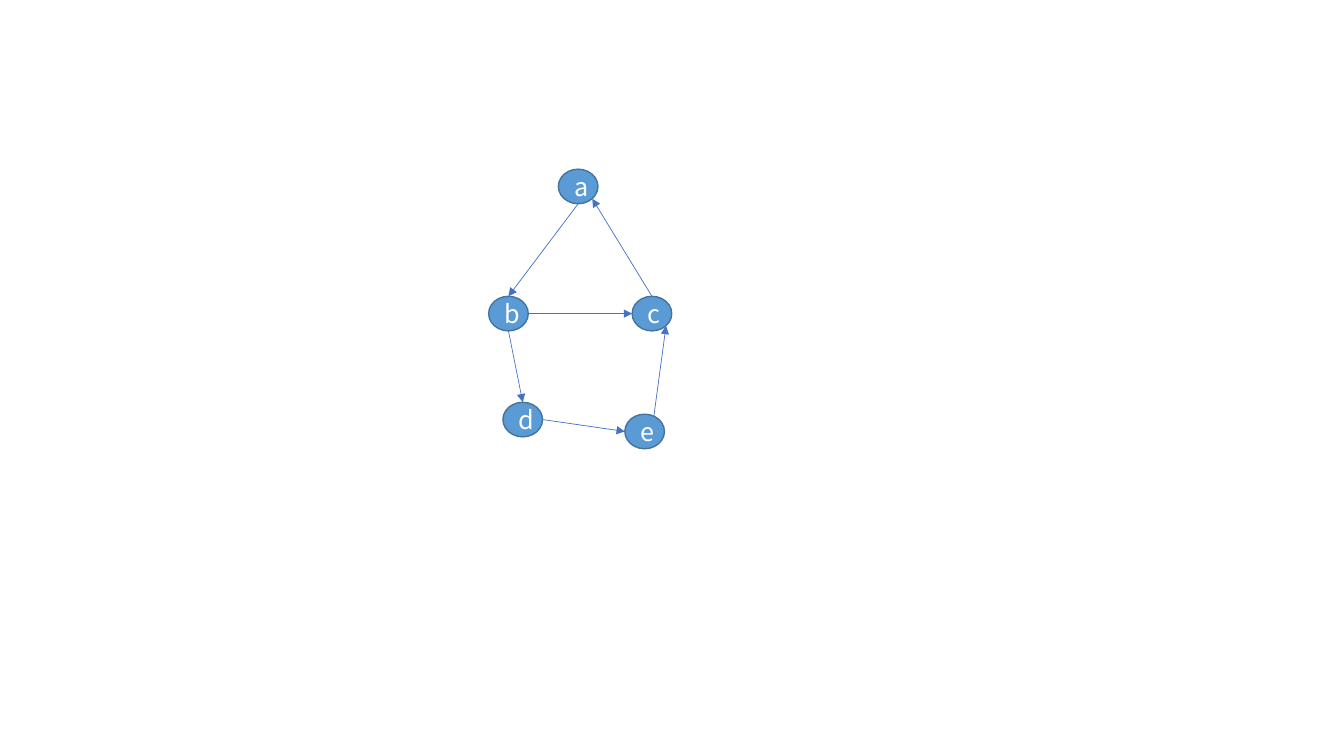
from pptx import Presentation
from pptx.dml.color import RGBColor
from pptx.enum.shapes import MSO_CONNECTOR as Link, MSO_SHAPE as Shape
from pptx.enum.text import MSO_ANCHOR as Anchor, PP_ALIGN as Align
from pptx.oxml.ns import qn
from pptx.util import Pt
from lxml.etree import SubElement

NODE_BLUE = RGBColor(0x5B, 0x9B, 0xD5)
RIM_BLUE = RGBColor(0x43, 0x73, 0x9E)
EDGE_BLUE = RGBColor(0x44, 0x72, 0xC4)
WHITE = RGBColor(0xFF, 0xFF, 0xFF)

WIDTH, HEIGHT = 28.3, 24.7
CENTRES = {"a": (413, 133.2), "b": (363.2, 224), "c": (465.7, 224),
           "d": (373.4, 299.7), "e": (460.5, 308.2)}
LETTER_FORMAT = {"name": "Noto Sans CJK SC", "size": Pt(18)}

TOP, BOTTOM, LEFT, RIGHT = (0, -1), (0, 1), (-1, 0), (1, 0)
LOWER_RIGHT = (0.71, 0.71)
INSIDE = (0.38, -0.18)
EDGES = [("a", BOTTOM, "b", TOP), ("b", RIGHT, "c", LEFT),
         ("c", TOP, "a", LOWER_RIGHT), ("b", BOTTOM, "d", TOP),
         ("e", INSIDE, "c", LOWER_RIGHT), ("d", RIGHT, "e", LEFT)]

deck = Presentation()
deck.slide_width, deck.slide_height = Pt(960), Pt(540)
graph = deck.slides.add_slide(deck.slide_layouts[6]).shapes


def add_node(letter):
    x, y = CENTRES[letter]
    node = graph.add_shape(Shape.OVAL, Pt(x - WIDTH / 2), Pt(y - HEIGHT / 2),
                           Pt(WIDTH), Pt(HEIGHT))
    node.shadow.inherit = False
    node.fill.solid()
    node.fill.fore_color.rgb = NODE_BLUE
    node.line.color.rgb = RIM_BLUE
    node.line.width = Pt(1)
    node.text_frame.vertical_anchor = Anchor.MIDDLE
    label = node.text_frame.paragraphs[0]
    label.alignment = Align.CENTER
    run = label.add_run()
    run.text = letter
    run.font.color.rgb = WHITE
    for key, value in LETTER_FORMAT.items():
        setattr(run.font, key, value)


def port(letter, side):
    x, y = CENTRES[letter]
    return Pt(x + side[0] * WIDTH / 2), Pt(y + side[1] * HEIGHT / 2)


for letter in "abcd":
    add_node(letter)

for source, exit_side, target, entry_side in EDGES:
    edge = graph.add_connector(Link.STRAIGHT, *port(source, exit_side),
                               *port(target, entry_side))
    edge.line.color.rgb = EDGE_BLUE
    edge.line.width = Pt(0.5)
    SubElement(edge.line._get_or_add_ln(), qn("a:tailEnd"), type="triangle")
    SubElement(edge._element.spPr, qn("a:effectLst"))

add_node("e")

deck.save("out.pptx")
